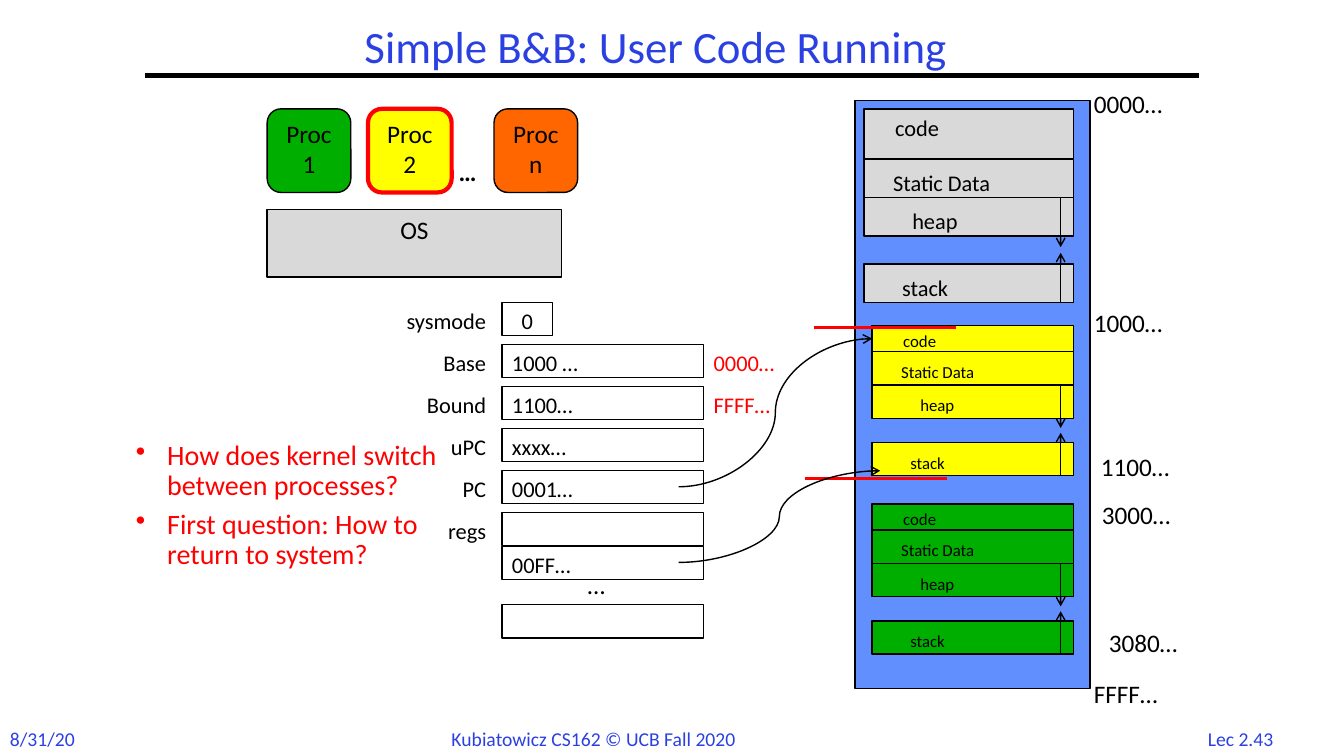
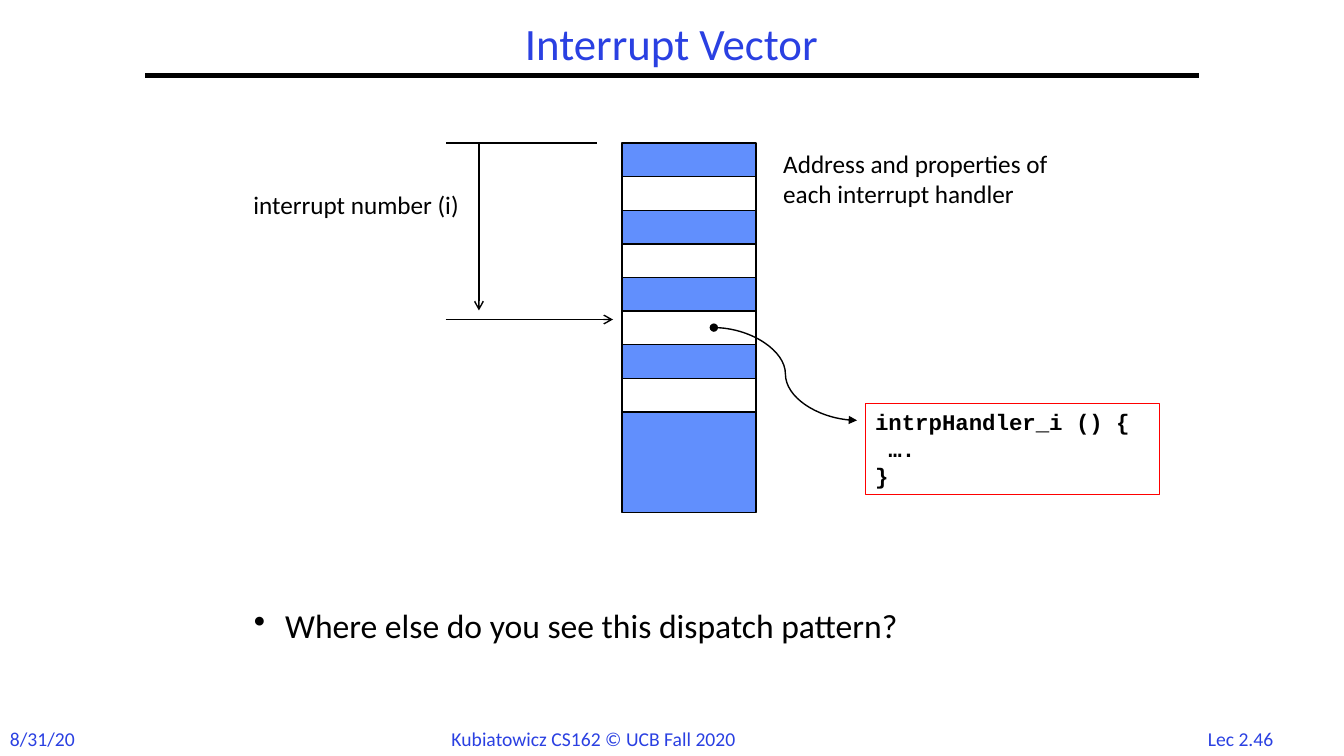
from lxml import etree
from pptx import Presentation
from pptx.dml.color import RGBColor
from pptx.enum.shapes import MSO_CONNECTOR, MSO_SHAPE
from pptx.enum.text import MSO_ANCHOR, MSO_AUTO_SIZE, PP_ALIGN
from pptx.oxml.ns import qn
from pptx.util import Cm, Pt

RECTANGLE, ROUNDED = MSO_SHAPE.RECTANGLE, MSO_SHAPE.ROUNDED_RECTANGLE
STRAIGHT, CURVE = MSO_CONNECTOR.STRAIGHT, MSO_CONNECTOR.CURVE
LEFT, CENTER, RIGHT = PP_ALIGN.LEFT, PP_ALIGN.CENTER, PP_ALIGN.RIGHT
TOP, MIDDLE = MSO_ANCHOR.TOP, MSO_ANCHOR.MIDDLE

BLACK, WHITE, RED = "000000", "FFFFFF", "FF0000"
TITLE_BLUE, MEMORY_BLUE = "2A40E2", "618FFD"
GREY, GREEN, YELLOW, ORANGE = "D9D9D9", "00AE00", "FFFF00", "FF6600"
BODY_FONT, CODE_FONT = "Calibri", "Courier New"


def color(hex_string):
    return RGBColor.from_string(hex_string)


def length(inches):
    """The layout grid is in inches; lengths are stored as centimetres."""
    return Cm(inches * 2.54)


def lengths(*values):
    return [length(value) for value in values]


# Text
def write_text(shape, lines, size, text_color=BLACK, align=LEFT, anchor=TOP,
               font=BODY_FONT, bold=False, bullet=False, spacing=None):
    frame = shape.text_frame
    frame.word_wrap = True
    frame.auto_size = MSO_AUTO_SIZE.NONE
    frame.vertical_anchor = anchor
    frame.margin_left = frame.margin_right = length(0.1)
    frame.margin_top, frame.margin_bottom = length(0.05), 0
    for index, line in enumerate(lines):
        paragraph = frame.add_paragraph() if index else frame.paragraphs[0]
        if bullet:
            properties = paragraph._p.get_or_add_pPr()
            properties.set("marL", str(length(0.31)))
            properties.set("indent", str(-length(0.31)))
            etree.SubElement(properties, qn("a:buChar")).set("char", "•")
            if index:
                paragraph.space_before = Pt(size * 0.3)
        paragraph.alignment = align
        if spacing:
            paragraph.line_spacing = spacing
        run = paragraph.add_run()
        run.text = line
        run.font.name, run.font.size, run.font.bold = font, Pt(size), bold
        run.font.color.rgb = color(text_color)


def add_label(slide, text, left, top, width=1.3, height=0.4, size=18, **style):
    shape = slide.shapes.add_textbox(*lengths(left, top, width, height))
    write_text(shape, [text], size, **style)


def add_bullets(slide, lines, box, size, text_color=BLACK):
    shape = slide.shapes.add_textbox(*lengths(*box))
    write_text(shape, lines, size, text_color, bullet=True, spacing=0.9)


# Boxes and lines
def add_box(slide, box, fill=None, line=BLACK, weight=1, kind=RECTANGLE):
    shape = slide.shapes.add_shape(kind, *lengths(*box))
    shape.shadow.inherit = False
    if fill:
        shape.fill.solid()
        shape.fill.fore_color.rgb = color(fill)
    else:
        shape.fill.background()
    shape.line.color.rgb = color(line)
    shape.line.width = Pt(weight)
    return shape


def add_line(slide, start, end, line=BLACK, weight=1, kind=STRAIGHT,
             head=None, tail=None):
    connector = slide.shapes.add_connector(kind, *lengths(*start, *end))
    connector.line.color.rgb = color(line)
    connector.line.width = Pt(weight)
    outline = connector.line._get_or_add_ln()
    for tag, arrow in (("a:headEnd", head), ("a:tailEnd", tail)):
        if arrow:
            etree.SubElement(outline, qn(tag)).set("type", arrow)
    etree.SubElement(connector._element.spPr, qn("a:effectLst"))


# Shared title, rule and footer
def add_slide(presentation, title, title_box, number):
    slide = presentation.slides.add_slide(presentation.slide_layouts[5])
    shape = slide.shapes.title
    shape.left, shape.top, shape.width, shape.height = lengths(*title_box)
    write_text(shape, [title], 32, TITLE_BLUE, CENTER, MIDDLE, spacing=0.9)
    shape.text_frame.margin_bottom = length(0.05)
    add_line(slide, (1.44, 0.75), (11.89, 0.75), weight=3)
    for text, left, width, align in (
            ("8/31/20", 0, 1, LEFT),
            ("Kubiatowicz CS162 © UCB Fall 2020", 4.38, 3.43, LEFT),
            (number, 11.82, 0.97, CENTER)):
        add_label(slide, text, left, 7.16, width, 0.34, 14,
                  text_color=TITLE_BLUE, align=align)
    return slide


# Address space of one process: code, static data, heap, gap, stack
def add_address_space(slide, left, top, fill, code_height, row_height, gap, size):
    width = 10.65 - left
    data_top = top + code_height
    heap_top = data_top + row_height
    stack_top = heap_top + row_height + gap
    for text, row_top, height, indent, drop in (
            ("code", top, code_height, 0.21, 0),
            ("Static Data", data_top, row_height, 0.19, 0.05),
            ("heap", heap_top, row_height, 0.38, 0.05),
            ("stack", stack_top, row_height, 0.28, 0.05)):
        add_box(slide, (left, row_top, width, height), fill)
        add_label(slide, text, left + indent, row_top + drop, size=size)
    growth = row_height + gap * 0.4
    stack_bottom = stack_top + row_height
    for start, end in ((stack_bottom, stack_bottom - growth),
                       (heap_top, heap_top + growth)):
        add_line(slide, (10.52, start), (10.52, end), tail="arrow")


def add_register(slide, top, name="", value="", width=2, align=LEFT):
    box = add_box(slide, (4.98, top, width, 0.33))
    if value:
        write_text(box, [value], 16, align=align)
    if name:
        add_label(slide, name, 3.72, top, 1.2, size=16, align=RIGHT)


def build_user_code(presentation):
    slide = add_slide(presentation, "Simple B&B: User Code Running",
                      (2.17, 0.08, 8.67, 0.81), "Lec 2.43")
    # Processes and operating system
    system = add_box(slide, (2.65, 2.08, 2.92, 0.67), GREY)
    write_text(system, ["OS"], 18, align=CENTER)
    for text, left, fill, line, weight in (
            ("Proc 1", 2.65, GREEN, BLACK, 1),
            ("Proc 2", 3.65, YELLOW, RED, 3),
            ("Proc n", 4.9, ORANGE, BLACK, 1)):
        process = add_box(slide, (left, 1.08, 0.83, 0.83), fill, line, weight, ROUNDED)
        write_text(process, [text], 18, align=CENTER)
    add_label(slide, "…", 4.45, 1.5, 0.45, bold=True)

    # Memory
    add_box(slide, (8.48, 1, 2.33, 5.83), MEMORY_BLUE)
    add_address_space(slide, 8.57, 1.08, GREY, 0.5, 0.38, 0.28, 16)
    for top, fill in ((3.23, YELLOW), (5, GREEN)):
        add_address_space(slide, 8.65, top, fill, 0.26, 0.33, 0.24, 12)
    for text, left, top in (
            ("0000…", 10.75, 0.83), ("1000…", 10.75, 3),
            ("1100…", 10.82, 4.43), ("3000…", 10.83, 4.9),
            ("3080…", 10.9, 6.17), ("FFFF…", 10.75, 6.68)):
        add_label(slide, text, left, top)

    # Registers
    first, pitch = 3, 5 / 12
    add_register(slide, first, "sysmode", "0", 0.5, CENTER)
    for row, (name, value) in enumerate((
            ("Base", "1000 …"), ("Bound", "1100…"), ("uPC", "xxxx…"),
            ("PC", "0001…"), ("regs", "")), start=1):
        add_register(slide, first + row * pitch, name, value)
    add_register(slide, 5.42, value="00FF…")
    add_register(slide, 6)
    add_label(slide, "…", 5.73, 5.6, 0.45)
    for row, limit in enumerate(("0000…", "FFFF…"), start=1):
        add_label(slide, limit, 6.98, first + row * pitch, size=16, text_color=RED)

    # Bounds of the running process and pointers into it
    for left, top in ((8.07, 3.25), (7.98, 4.75)):
        add_line(slide, (left, top), (left + 1.41, top), RED, 2.25)
    for start, end in (((6.73, 4.83), (8.65, 3.36)), ((6.73, 5.58), (8.73, 4.67))):
        add_line(slide, start, end, kind=CURVE, tail="arrow")
    add_bullets(slide, ["How does kernel switch between processes?",
                        "First question: How to return to system?"],
                (1.25, 4.33, 3.36, 1.17), 20, RED)


def build_interrupt_vector(presentation):
    slide = add_slide(presentation, "Interrupt Vector",
                      (1.44, 0.17, 10.44, 0.58), "Lec 2.46")
    # Vector table with alternating entries
    top, row_height = 1.42, 1 / 3
    add_box(slide, (6.17, top, 1.33, 11 * row_height), MEMORY_BLUE)
    for row in range(1, 8, 2):
        add_box(slide, (6.17, top + row * row_height, 1.33, row_height), WHITE)

    # Index into the table
    add_line(slide, (5.92, top), (4.42, top))
    add_line(slide, (4.75, top), (4.75, 3.08), tail="arrow")
    add_line(slide, (4.42, 3.17), (6.08, 3.17), tail="arrow")
    add_label(slide, "interrupt number (i)", 1.83, 1.83, 2.82, align=RIGHT)
    add_label(slide, "Address and properties of each interrupt handler",
              7.67, top, 3, 0.71)

    # Handler
    add_line(slide, (7.08, 3.25), (8.5, 4.17), kind=CURVE, head="oval", tail="triangle")
    handler = add_box(slide, (8.58, 4, 2.92, 0.91), line=RED, weight=0.75)
    write_text(handler, ["intrpHandler_i () {", " ….", "}"], 16,
               font=CODE_FONT, bold=True)
    add_bullets(slide, ["Where else do you see this dispatch pattern?"],
                (2.42, 6, 8.33, 0.92), 24)


def main():
    presentation = Presentation()
    presentation.slide_width, presentation.slide_height = lengths(13.33, 7.5)
    build_user_code(presentation)
    build_interrupt_vector(presentation)
    presentation.save("out.pptx")


if __name__ == "__main__":
    main()
